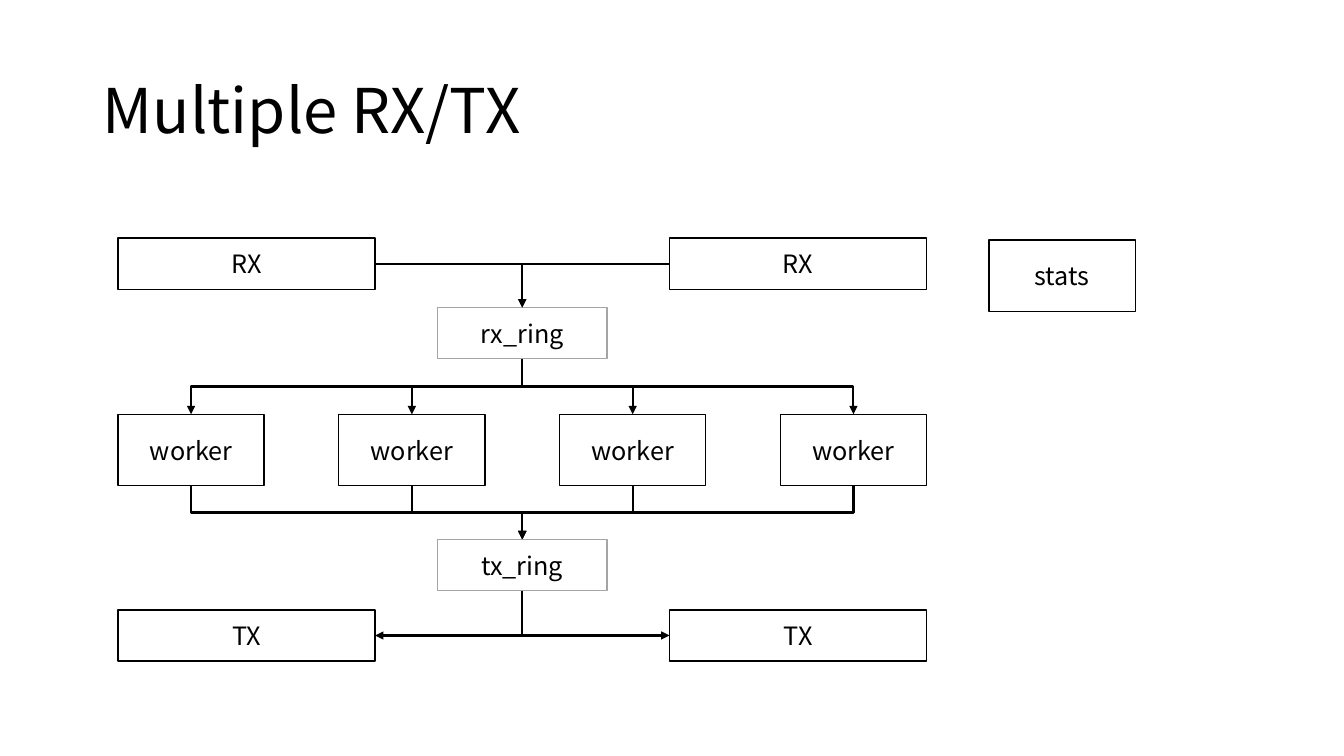
from lxml import etree
from pptx import Presentation
from pptx import util as u
from pptx.dml.color import RGBColor
from pptx.enum import shapes, text
from pptx.oxml import ns

FONT = "Noto Sans CJK SC"
BLACK, GREY, WHITE = "000000", "A5A5A5", "FFFFFF"


def color(hex_code):
    """Turn a hex string into a colour."""
    return RGBColor.from_string(hex_code)


def format_text(frame, size, alignment):
    """Apply font, size, colour and alignment to a text frame."""
    frame.vertical_anchor = text.MSO_ANCHOR.MIDDLE
    for paragraph in frame.paragraphs:
        paragraph.alignment = alignment
        for run in paragraph.runs:
            run.font.name = FONT
            run.font.size = u.Pt(size)
            run.font.color.rgb = color(BLACK)


def add_title(slide, label, left, top, width, height):
    """Fill and place the title placeholder."""
    title = slide.shapes.title
    title.left, title.top = u.Inches(left), u.Inches(top)
    title.width, title.height = u.Inches(width), u.Inches(height)
    title.text_frame.text = label
    title.text_frame.auto_size = text.MSO_AUTO_SIZE.NONE
    title.text_frame.paragraphs[0].line_spacing = 0.9
    format_text(title.text_frame, 44, text.PP_ALIGN.LEFT)


def add_box(slide, label, left, top, width, height, outline=BLACK):
    """Add a white labelled rectangle."""
    shape = slide.shapes.add_shape(
        shapes.MSO_SHAPE.RECTANGLE,
        u.Inches(left), u.Inches(top), u.Inches(width), u.Inches(height))
    shape.shadow.inherit = False
    shape.fill.solid()
    shape.fill.fore_color.rgb = color(WHITE)
    shape.line.color.rgb = color(outline)
    shape.line.width = u.Pt(1)
    shape.text_frame.text = label
    format_text(shape.text_frame, 18, text.PP_ALIGN.CENTER)


def add_arrow(slide, start, end, preset, down_first=False):
    """Add an elbow arrow that leaves sideways, or downwards if down_first."""
    (x1, y1), (x2, y2) = start, end
    goes_left = x2 < x1
    if down_first:
        # The unrotated frame swaps width and height about the same centre.
        center_x, center_y = (x1 + x2) / 2, (y1 + y2) / 2
        half_width, half_height = (y2 - y1) / 2, abs(x2 - x1) / 2
        side = 1 if goes_left else -1
        x1, x2 = center_x - side * half_width, center_x + side * half_width
        y1, y2 = center_y - half_height, center_y + half_height
    arrow = slide.shapes.add_connector(
        shapes.MSO_CONNECTOR.ELBOW, *map(u.Inches, (x1, y1, x2, y2)))
    arrow.line.color.rgb = color(BLACK)
    arrow.line.width = u.Pt(1.5)
    properties = arrow._element.spPr
    properties.find(ns.qn("a:prstGeom")).set("prst", preset)
    if down_first:
        degrees = 90 if goes_left else 270
        properties.find(ns.qn("a:xfrm")).set("rot", str(degrees * 60000))
    line = properties.find(ns.qn("a:ln"))
    etree.SubElement(line, ns.qn("a:tailEnd"), type="triangle")
    etree.SubElement(properties, ns.qn("a:effectLst"))


def add_pipeline(slide, left, top, width):
    """Draw ports, rings and workers with the arrows between them."""
    center = left + width / 2
    port_width, ring_width, worker_width = 2.55, 1.68, 1.45
    bar_height, worker_height = 0.51, 0.71
    rx_ring_top, worker_top = top + 0.69, top + 1.75
    tx_ring_top, tx_top = top + 2.99, top + 3.69
    right_port = left + width - port_width
    pitch = (width - worker_width) / 3

    for label, port_top in (("RX", top), ("TX", tx_top)):
        for port_left in (left, right_port):
            add_box(slide, label, port_left, port_top, port_width, bar_height)
    for label, ring_top in (("rx_ring", rx_ring_top), ("tx_ring", tx_ring_top)):
        add_box(slide, label, center - ring_width / 2, ring_top,
                ring_width, bar_height, GREY)

    rx_ring_exit = (center, rx_ring_top + bar_height)
    tx_ring_exit = (center, tx_ring_top + bar_height)
    for index in range(4):
        worker_left = left + index * pitch
        middle = worker_left + worker_width / 2
        add_box(slide, "worker", worker_left, worker_top,
                worker_width, worker_height)
        add_arrow(slide, rx_ring_exit, (middle, worker_top),
                  "bentConnector3", down_first=True)
        add_arrow(slide, (middle, worker_top + worker_height),
                  (center, tx_ring_top), "bentConnector3", down_first=True)

    for inner_edge in (left + port_width, right_port):
        add_arrow(slide, (inner_edge, top + bar_height / 2),
                  (center, rx_ring_top), "bentConnector2")
        add_arrow(slide, tx_ring_exit, (inner_edge, tx_top + bar_height / 2),
                  "bentConnector2", down_first=True)


def main():
    """Build and save the presentation."""
    presentation = Presentation()
    presentation.slide_width = u.Inches(13.33)
    presentation.slide_height = u.Inches(7.5)
    slide = presentation.slides.add_slide(presentation.slide_layouts[5])
    add_title(slide, "Multiple RX/TX", 0.92, 0.4, 11.5, 1.45)
    add_pipeline(slide, 1.17, 2.36, 8.02)
    add_box(slide, "stats", 9.81, 2.38, 1.45, 0.71)
    presentation.save("out.pptx")


main()
